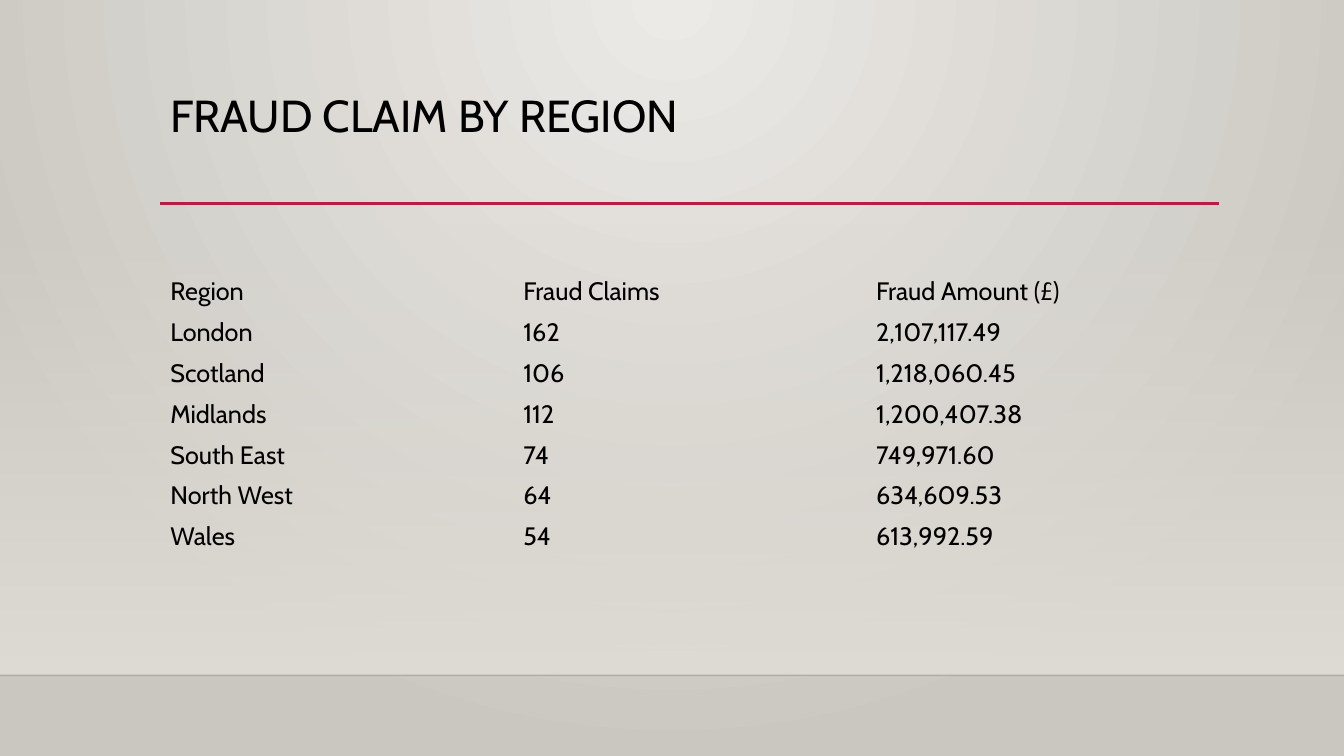
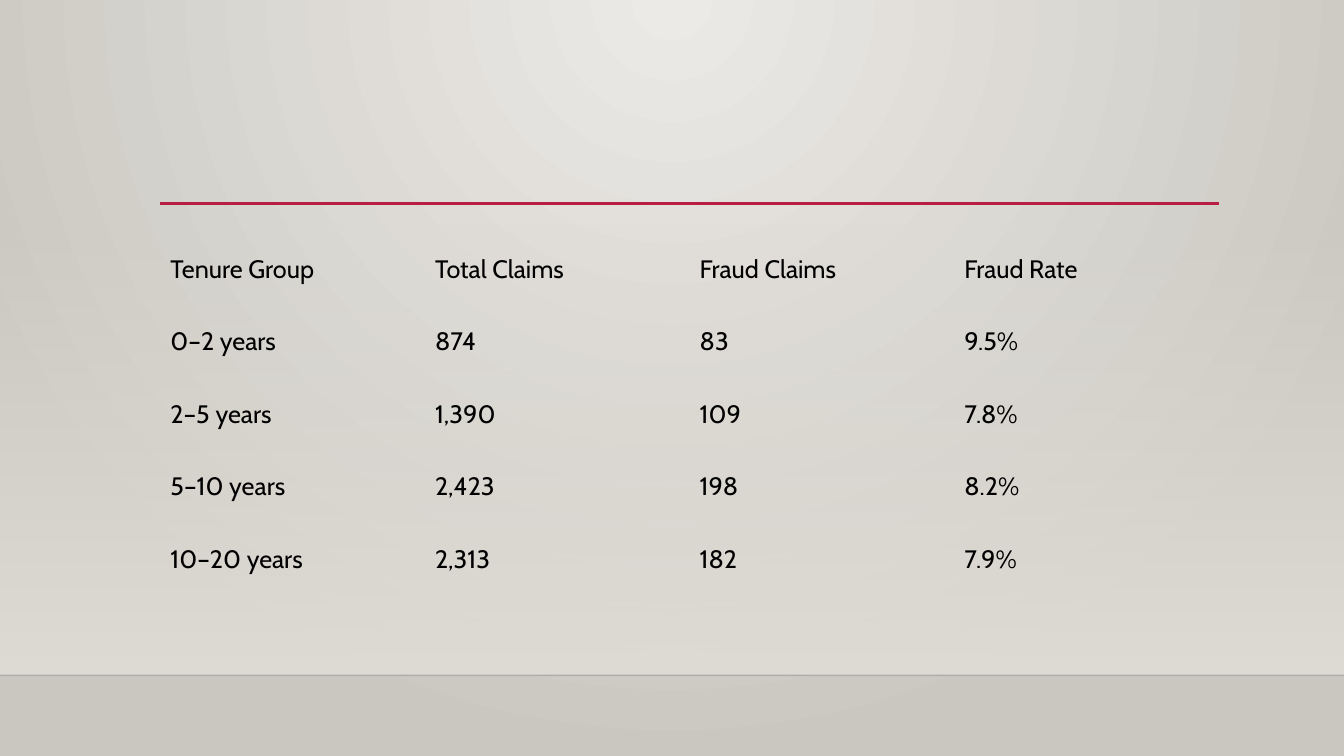
from pptx import Presentation
from pptx.dml.color import RGBColor
from pptx.enum.shapes import MSO_CONNECTOR, MSO_SHAPE
from pptx.enum.text import MSO_ANCHOR, MSO_AUTO_SIZE, PP_ALIGN
from pptx.oxml import parse_xml
from pptx.oxml.ns import nsdecls, qn
from pptx.util import Inches, Pt
from lxml.etree import SubElement

COLORS = {
    "glow": "ECEAE7",
    "edge": "CAC7C1",
    "wall": "DFDBD5",
    "floor": "000001",
    "accent": "B71E42",
    "text": "000000",
}
FONT = "Cabin"
PAGE_WIDTH, PAGE_HEIGHT = Inches(13.33), Inches(7.5)
LEFT, WIDTH = Inches(1.59), Inches(10.5)
WALL_TOP, FLOOR = Inches(2.21), Inches(6.7)
RULE_TOP = Inches(2.02)
PLAIN_TABLE = "{2D5ABB26-0587-4C30-8999-92F81FD0307C}"

REGIONS = [
    ("Region", "Fraud Claims", "Fraud Amount (£)"),
    ("London", "162", "2,107,117.49"),
    ("Scotland", "106", "1,218,060.45"),
    ("Midlands", "112", "1,200,407.38"),
    ("South East", "74", "749,971.60"),
    ("North West", "64", "634,609.53"),
    ("Wales", "54", "613,992.59"),
]
TENURES = [
    ("Tenure Group", "Total Claims", "Fraud Claims", "Fraud Rate"),
    ("0–2 years", "874", "83", "9.5%"),
    ("2–5 years", "1,390", "109", "7.8%"),
    ("5–10 years", "2,423", "198", "8.2%"),
    ("10–20 years", "2,313", "182", "7.9%"),
]


def color(name):
    return RGBColor.from_string(COLORS[name])


def set_font(para, size):
    para.font.name = FONT
    para.font.size = Pt(size)
    para.font.color.rgb = color("text")


def set_opacity(color_element, percent):
    SubElement(color_element, qn("a:alpha")).set("val", str(percent * 1000))


def set_gradient(fill, start, end):
    fill.gradient()
    for stop, name in zip(fill.gradient_stops, (start, end)):
        stop.color.rgb = color(name)


def paint_background(layout):
    """Radial glow from the middle of the top edge."""
    set_gradient(layout.background.fill, "glow", "edge")
    linear = layout.element.find(".//" + qn("a:lin"))
    radial = parse_xml(
        f'<a:path {nsdecls("a")} path="circle">'
        '<a:fillToRect l="43000" t="0" r="43000" b="100000"/></a:path>'
    )
    linear.getparent().replace(linear, radial)


def add_wall(page):
    wall = page.shapes.add_shape(
        MSO_SHAPE.RECTANGLE, 0, WALL_TOP, PAGE_WIDTH, FLOOR - WALL_TOP
    )
    wall.shadow.inherit = False
    wall.line.fill.background()
    set_gradient(wall.fill, "wall", "wall")
    wall.fill.gradient_angle = 270
    set_opacity(wall.element.find(".//" + qn("a:srgbClr")), 0)
    return wall


def add_rule(page, left, top, width, name, weight, opacity=100):
    rule = page.shapes.add_connector(
        MSO_CONNECTOR.STRAIGHT, left, top, left + width, top
    )
    rule.line.color.rgb = color(name)
    rule.line.width = Pt(weight)
    if opacity < 100:
        set_opacity(rule.element.find(".//" + qn("a:srgbClr")), opacity)
    SubElement(rule.element.spPr, qn("a:effectLst"))
    return rule


def move_to_layout(layout, shapes):
    """Place the shapes behind the layout's placeholders, for all its slides."""
    tree = layout.shapes.element
    for index, shape in enumerate(shapes, start=2):
        tree.insert(index, shape.element)


def style_layout(layout, page):
    """Build the shared scenery on a page and hand it to the layout."""
    paint_background(layout)
    move_to_layout(layout, [
        add_wall(page),
        add_rule(page, 0, FLOOR, PAGE_WIDTH, "floor", 1, opacity=20),
        add_rule(page, LEFT, RULE_TOP, WIDTH, "accent", 2.5),
    ])


def set_title(page, text):
    title = page.shapes.title
    if not text:
        title.element.getparent().remove(title.element)
        return
    title.left, title.top = LEFT, Inches(0.88)
    title.width, title.height = WIDTH, Inches(1.15)
    frame = title.text_frame
    frame.text = text
    frame.word_wrap = True
    frame.auto_size = MSO_AUTO_SIZE.NONE
    frame.vertical_anchor = MSO_ANCHOR.TOP
    para = frame.paragraphs[0]
    para.alignment = PP_ALIGN.LEFT
    para.line_spacing = 0.9
    set_font(para, 32)


def add_plain_table(page, records, top, row_height):
    frame = page.shapes.add_table(
        len(records), len(records[0]), LEFT, top, WIDTH, row_height * len(records)
    )
    table = frame.table
    table.first_row = table.horz_banding = False
    frame.element.find(".//" + qn("a:tableStyleId")).text = PLAIN_TABLE
    for row, record in zip(table.rows, records):
        row.height = row_height
        for cell, text in zip(row.cells, record):
            cell.text = text
            cell.fill.background()
            cell.vertical_anchor = MSO_ANCHOR.MIDDLE
            set_font(cell.text_frame.paragraphs[0], 18)


def add_table_page(deck, layout, title, records, top, row_height):
    page = deck.slides.add_slide(layout)
    set_title(page, title)
    add_plain_table(page, records, Inches(top), Inches(row_height))
    return page


def main():
    deck = Presentation()
    deck.slide_width, deck.slide_height = PAGE_WIDTH, PAGE_HEIGHT
    layout = deck.slide_layouts.get_by_name("Title Only")
    first = add_table_page(
        deck, layout, "FRAUD CLAIM BY REGION", REGIONS, top=2.69, row_height=0.4
    )
    add_table_page(deck, layout, None, TENURES, top=2.31, row_height=0.72)
    style_layout(layout, first)
    deck.save("out.pptx")


if __name__ == "__main__":
    main()
